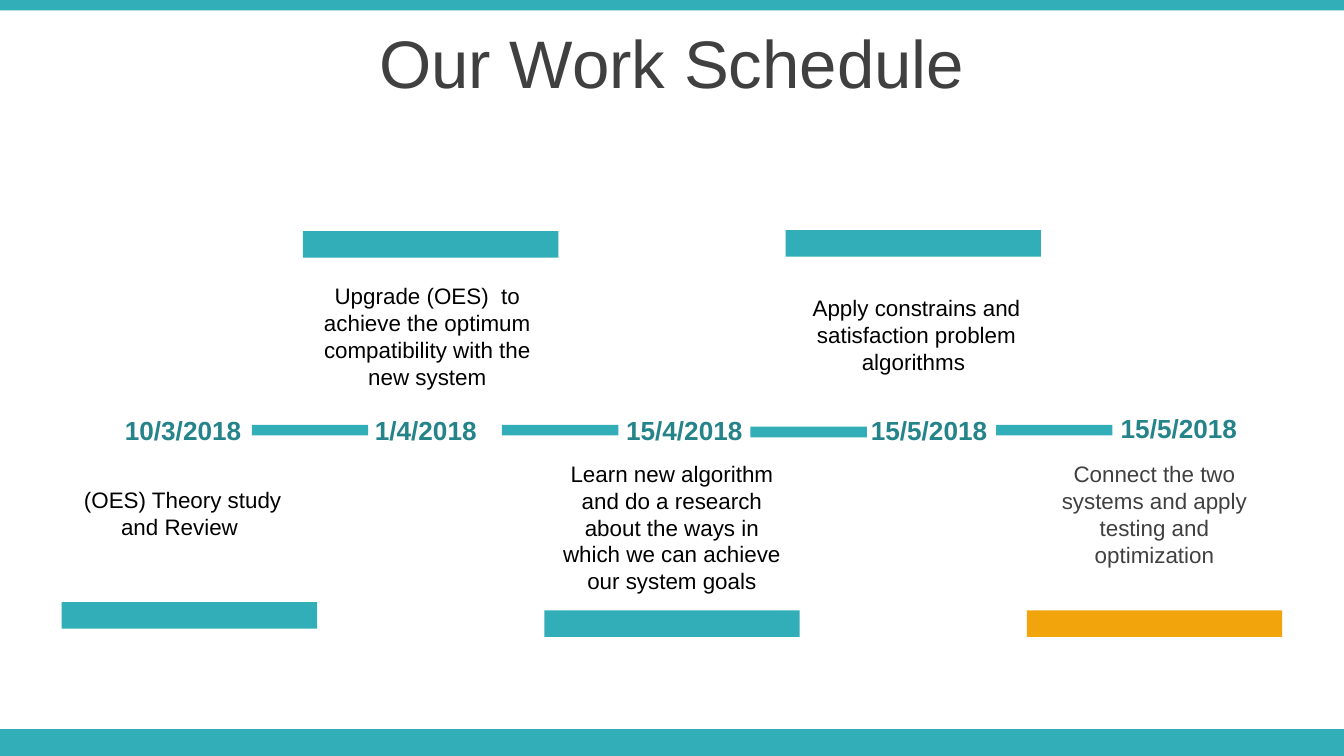
from pptx import Presentation
from pptx.dml.color import RGBColor
from pptx.enum import shapes, text
from pptx.util import Pt

TEAL, DARK_TEAL, ORANGE = "32AEB8", "25838A", "F2A40D"
BLACK, GREY = "000000", "404040"
STAGE_LEFT, STAGE_STEP, STAGE_WIDTH = 33.1, 129.25, 136.8

STAGES = [
    dict(date="10/3/2018", date_at=(59.8, 218.2),
         task="(OES) Theory study and Review ", task_box=(0, 257, 129.6, 36),
         bar_top=322.6),
    dict(date="1/4/2018", date_at=(193.7, 218.2),
         task="Upgrade (OES)  to achieve the optimum compatibility with the new system",
         task_box=(-1.8, 147.6, STAGE_WIDTH, 65.5), bar_top=123.8),
    dict(date="15/4/2018", date_at=(328.3, 218.2),
         task="Learn new algorithm and do a research about the ways in which "
              "we can achieve our system goals",
         task_box=(0, 242.9, STAGE_WIDTH, 80), bar_top=327),
    dict(date="15/5/2018", date_at=(459.4, 218.2),
         task="Apply constrains and satisfaction problem algorithms ",
         task_box=(1.8, 154.3, STAGE_WIDTH, 51), bar_top=123.3),
    dict(date="15/5/2018", date_at=(593.3, 217.6),
         task="Connect the two systems and apply testing and optimization",
         task_box=(0, 242.9, STAGE_WIDTH, 65.5), bar_top=327,
         bar_color=ORANGE, task_color=GREY),
]
LINKS = [(134.9, 227.6), (268.9, 227.6), (402, 228.6), (533.6, 227.6)]


def rgb(hex_color):
    return RGBColor.from_string(hex_color)


def format_paragraph(paragraph, size, color, align, bold=False):
    paragraph.alignment = align
    paragraph.font.name = "Arial"
    paragraph.font.size = Pt(size)
    paragraph.font.bold = bold
    paragraph.font.color.rgb = rgb(color)


def add_bar(slide, left, top, width, height, color=TEAL):
    bar = slide.shapes.add_shape(
        shapes.MSO_SHAPE.RECTANGLE, Pt(left), Pt(top), Pt(width), Pt(height))
    bar.shadow.inherit = False
    bar.fill.solid()
    bar.fill.fore_color.rgb = rgb(color)
    bar.line.fill.background()


def add_label(slide, left, top, width, height, words, size, color, align, bold=False):
    label = slide.shapes.add_textbox(Pt(left), Pt(top), Pt(width), Pt(height))
    frame = label.text_frame
    frame.word_wrap = True
    frame.auto_size = text.MSO_AUTO_SIZE.SHAPE_TO_FIT_TEXT
    frame.text = words
    format_paragraph(frame.paragraphs[0], size, color, align, bold)


def add_frame(slide, width, height):
    add_bar(slide, 0, height - 14.4, width, 14.4)
    add_bar(slide, 0, 0, width, 5.6)


def add_title(slide, left, top, width, height, words):
    title = slide.shapes.title
    title.left, title.top = Pt(left), Pt(top)
    title.width, title.height = Pt(width), Pt(height)
    frame = title.text_frame
    frame.auto_size = text.MSO_AUTO_SIZE.NONE
    frame.vertical_anchor = text.MSO_ANCHOR.MIDDLE
    frame.text = words
    format_paragraph(frame.paragraphs[0], 36, GREY, text.PP_ALIGN.CENTER)


def add_stage(slide, left, width, date, date_at, task, task_box, bar_top,
              bar_color=TEAL, task_color=BLACK):
    shift, task_top, task_width, task_height = task_box
    add_label(slide, left + shift, task_top, task_width, task_height,
              task, 12, task_color, text.PP_ALIGN.CENTER)
    add_bar(slide, left, bar_top, width, 14.2, bar_color)
    add_label(slide, *date_at, 82.8, 24.2, date, 14, DARK_TEAL,
              text.PP_ALIGN.LEFT, bold=True)


def main():
    deck = Presentation()
    deck.slide_width, deck.slide_height = Pt(720), Pt(405)
    slide = deck.slides.add_slide(deck.slide_layouts[5])
    add_frame(slide, 720, 405)
    add_title(slide, 0, 10.1, 720, 45.4, "Our Work Schedule")
    for left, top in LINKS:
        add_bar(slide, left, top, 62.4, 5.7)
    for index, stage in enumerate(STAGES):
        add_stage(slide, STAGE_LEFT + index * STAGE_STEP, STAGE_WIDTH, **stage)
    deck.save("out.pptx")


if __name__ == "__main__":
    main()
